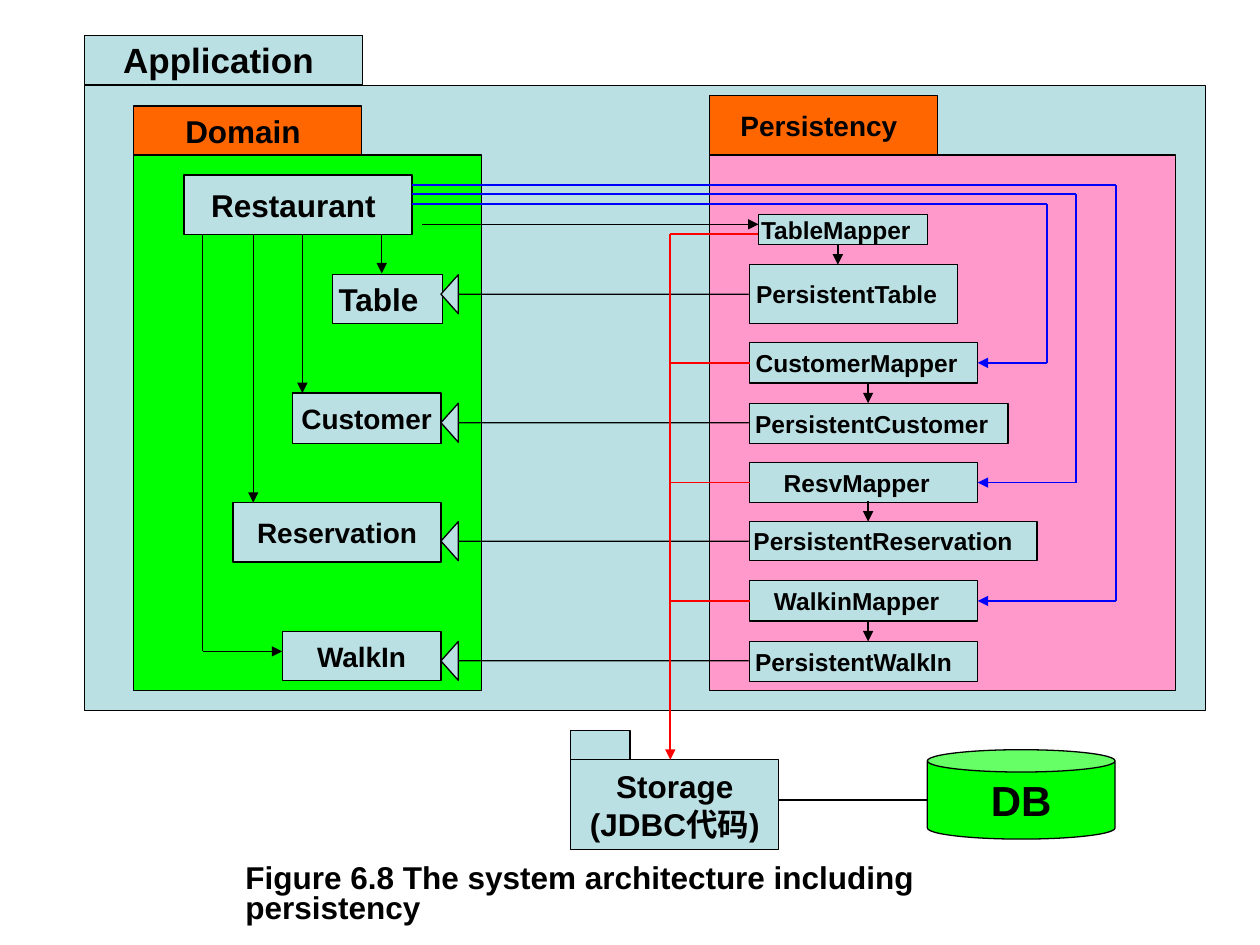
from itertools import pairwise

from lxml.etree import SubElement
from pptx import Presentation
from pptx.dml.color import RGBColor
from pptx.enum.shapes import MSO_CONNECTOR, MSO_SHAPE
from pptx.enum.text import MSO_ANCHOR, MSO_AUTO_SIZE, PP_ALIGN
from pptx.oxml.ns import qn
from pptx.util import Inches, Pt

COLORS = {"black": "000000", "pale": "BBE0E3", "green": "00FF00", "orange": "FF6600",
          "pink": "FF99CC", "blue": "0000FF", "red": "FF0000"}
FONT = "Arial"
CAPTION = "Figure 6.8 The system architecture including persistency"

# (left, top, width, height), fill
PANELS = [
    ((0.67, 0.68, 8.9, 4.96), "pale"),
    ((1.06, 1.23, 2.76, 4.25), "green"),
    ((5.63, 1.23, 3.7, 4.25), "pink"),
    ((4.53, 5.8, 0.47, 0.24), "pale"),
]

# text, (left, top, width, height), fill, size, extra right inset
BOXES = [
    ("Application", (0.67, 0.28, 2.21, 0.39), "pale", 20, 0.08),
    ("Domain", (1.06, 0.84, 1.81, 0.39), "orange", 18, 0.07),
    ("Persistency", (5.63, 0.76, 1.81, 0.47), "orange", 16, 0.07),
    ("Restaurant", (1.46, 1.39, 1.81, 0.47), "pale", 18, 0.07),
    ("Table", (2.64, 2.18, 0.87, 0.39), "pale", 18, 0.14),
    ("Customer", (2.32, 3.12, 1.18, 0.4), "pale", 16, 0),
    ("Reservation", (1.85, 3.99, 1.65, 0.47), "pale", 16, 0),
    ("WalkIn", (2.24, 5.01, 1.26, 0.39), "pale", 16, 0),
    ("TableMapper", (6.02, 1.7, 1.34, 0.24), "pale", 14, 0.11),
    ("PersistentTable", (5.95, 2.1, 1.65, 0.47), "pale", 14, 0.11),
    ("CustomerMapper", (5.95, 2.72, 1.81, 0.32), "pale", 14, 0.11),
    ("PersistentCustomer", (5.95, 3.2, 2.05, 0.32), "pale", 14, 0.11),
    ("ResvMapper", (5.95, 3.67, 1.81, 0.32), "pale", 14, 0.11),
    ("PersistentReservation", (5.95, 4.14, 2.28, 0.31), "pale", 14, 0.16),
    ("WalkinMapper", (5.95, 4.61, 1.81, 0.32), "pale", 14, 0.11),
    ("PersistentWalkIn", (5.95, 5.09, 1.81, 0.32), "pale", 14, 0.16),
    ("Storage\n(JDBC代码)", (4.53, 6.03, 1.65, 0.71), "pale", 18, 0),
]
DATABASE = ("DB", (7.36, 5.95, 1.49, 0.71), "green", 24, 0)

INHERIT_TOPS = [2.18, 3.2, 4.14, 5.09]
MAPPER_ROWS = [2.88, 3.83, 4.77]
MAPPER_LEFT, MAPPER_RIGHT = 5.95, 7.76
RESTAURANT_RIGHT, RESTAURANT_BOTTOM = 3.27, 1.86
BUS_X = 5.32

# Straight arrows down: x, top, bottom
DOWN_ARROWS = [
    (3.03, RESTAURANT_BOTTOM, 2.17),
    (2.4, RESTAURANT_BOTTOM, 3.12),
    (2.01, RESTAURANT_BOTTOM, 3.99),
    (6.65, 1.94, 2.1),
    (6.89, 3.04, 3.2),
    (6.89, 3.98, 4.14),
    (6.89, 4.93, 5.09),
]
# Blue routes from Restaurant to the mappers: start y, turn x
BLUE_ROUTES = [(1.62, 8.31), (1.54, 8.54), (1.47, 8.86)]


def rgb(name):
    return RGBColor.from_string(COLORS[name])


def style_run(r, size):
    r.font.name, r.font.size, r.font.bold = FONT, Pt(size), True
    r.font.color.rgb = rgb("black")


def add_block(s, box, fill, kind=MSO_SHAPE.RECTANGLE, adjustments=()):
    sp = s.shapes.add_shape(kind, *map(Inches, box))
    sp.shadow.inherit = False
    sp.fill.solid()
    sp.fill.fore_color.rgb = rgb(fill)
    sp.line.color.rgb = rgb("black")
    sp.line.width = Pt(0.75)
    for i, value in enumerate(adjustments):
        sp.adjustments[i] = value
    return sp


def add_label(sp, text, size, inset):
    """Centre the text; the extra right inset moves it off centre."""
    tf = sp.text_frame
    tf.text = text
    tf.word_wrap = False
    tf.vertical_anchor = MSO_ANCHOR.MIDDLE
    tf.margin_right = Inches(0.1 + inset)
    for p in tf.paragraphs:
        p.alignment = PP_ALIGN.CENTER
        for r in p.runs:
            style_run(r, size)


def add_route(s, points, color="black", width=0.75, arrow=True):
    """Join the points with straight lines; the arrowhead is on the last."""
    for start, end in pairwise(points):
        line = s.shapes.add_connector(MSO_CONNECTOR.STRAIGHT, *map(Inches, start + end))
        line.line.color.rgb = rgb(color)
        line.line.width = Pt(width)
        if arrow and end == points[-1]:
            SubElement(line.line._get_or_add_ln(), qn("a:tailEnd"), type="triangle")
        SubElement(line._element.spPr, qn("a:effectLst"))


def add_caption(s):
    tf = s.shapes.add_textbox(*map(Inches, (1.85, 6.82, 6.96, 0.34))).text_frame
    tf.word_wrap = False
    tf.auto_size = MSO_AUTO_SIZE.SHAPE_TO_FIT_TEXT
    p = tf.paragraphs[0]
    p.text = CAPTION
    p.line_spacing, p.space_before = 0.8, Pt(4.5)
    style_run(p.runs[0], 18)


def main():
    prs = Presentation()
    prs.slide_width, prs.slide_height = Inches(10), Inches(7.5)
    s = prs.slides.add_slide(prs.slide_layouts[6])

    add_caption(s)
    for box, fill in PANELS:
        add_block(s, box, fill)
    for text, box, fill, size, inset in BOXES:
        add_label(add_block(s, box, fill), text, size, inset)
    for top in INHERIT_TOPS:
        add_block(s, (3.5, top, 2.44, 0.31), "pale", MSO_SHAPE.LEFT_ARROW, (0, 0.445))

    for x, top, bottom in DOWN_ARROWS:
        add_route(s, [(x, top), (x, bottom)])
    add_route(s, [(3.35, 1.78), (6.02, 1.78)])
    add_route(s, [(1.61, RESTAURANT_BOTTOM), (1.61, 5.17), (2.24, 5.17)])

    for (y, x), row in zip(BLUE_ROUTES, MAPPER_ROWS):
        add_route(s, [(RESTAURANT_RIGHT, y), (x, y), (x, row), (MAPPER_RIGHT, row)],
                  "blue", 1)

    for row in MAPPER_ROWS:
        add_route(s, [(MAPPER_LEFT, row), (BUS_X, row)], "red", 1, arrow=False)
    add_route(s, [(6.02, 1.86), (BUS_X, 1.86), (BUS_X, 6.03)], "red", 1)

    text, box, fill, size, inset = DATABASE
    add_label(add_block(s, box, fill, MSO_SHAPE.CAN, (0.25,)), text, size, inset)
    add_route(s, [(6.18, 6.35), (7.36, 6.35)], arrow=False)
    prs.save("out.pptx")


if __name__ == "__main__":
    main()
